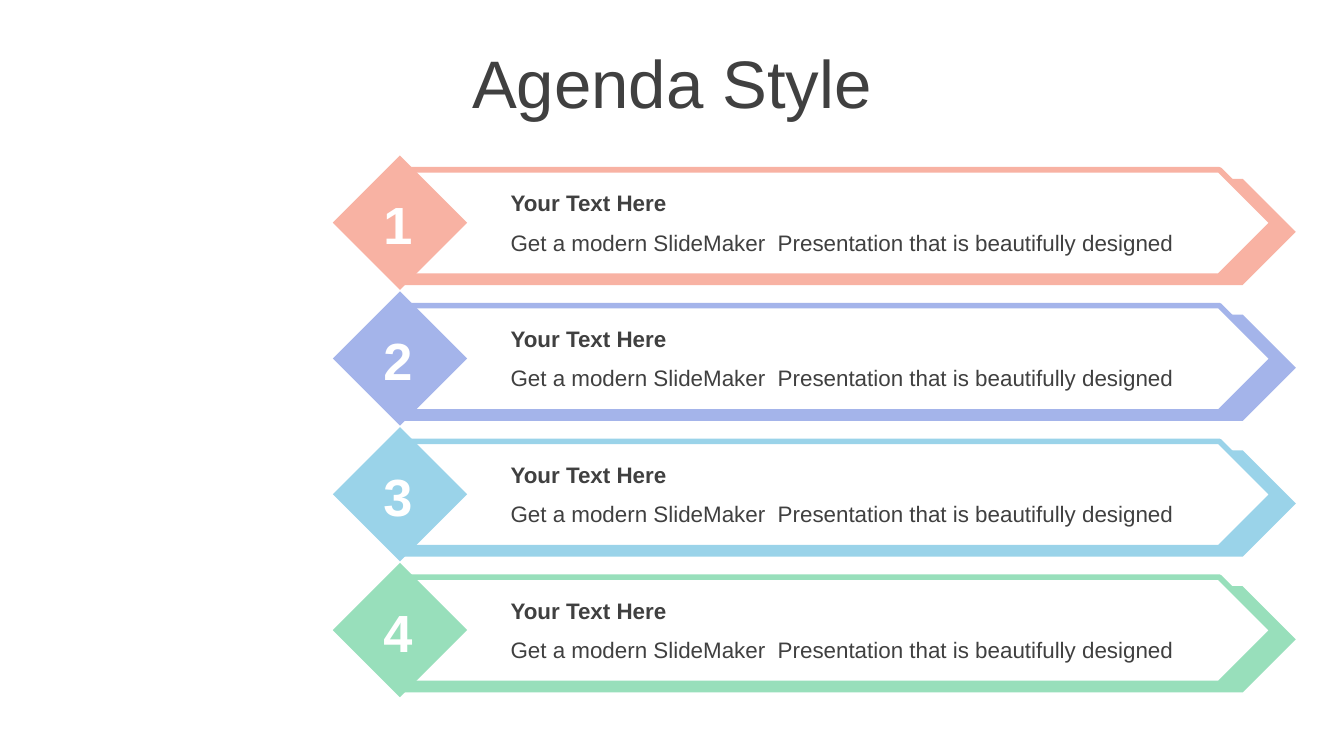
import pptx
import pptx.util
import pptx.dml.color
import pptx.enum.shapes
import pptx.enum.text

Cm = pptx.util.Cm
RGBColor = pptx.dml.color.RGBColor
SHAPE = pptx.enum.shapes.MSO_SHAPE
ALIGN = pptx.enum.text.PP_ALIGN
ANCHOR = pptx.enum.text.MSO_ANCHOR

WHITE = RGBColor(0xFF, 0xFF, 0xFF)
DARK = RGBColor(0x40, 0x40, 0x40)
CORAL = RGBColor(0xF8, 0xB2, 0xA3)
PERIWINKLE = RGBColor(0xA4, 0xB4, 0xEA)
SKY = RGBColor(0x9A, 0xD3, 0xE9)
MINT = RGBColor(0x98, 0xDF, 0xBB)

HEADING = "Your Text Here"
DETAIL = "Get a modern SlideMaker  Presentation that is beautifully designed"


def add_text(shapes, box, text, size, color=DARK, bold=False,
             align=ALIGN.LEFT, anchor=ANCHOR.TOP):
    """Place one line of text in a box."""
    label = shapes.add_textbox(*box)
    frame = label.text_frame
    frame.word_wrap = True
    frame.vertical_anchor = anchor
    frame.text = text
    para = frame.paragraphs[0]
    para.alignment = align
    for span in para.runs:
        span.font.name = "Arial"
        span.font.size = pptx.util.Pt(size)
        span.font.bold = bold
        span.font.color.rgb = color


def add_plain_shape(shapes, kind, box, fill, outline=None):
    """Place a flat preset shape, outlined only when a colour is given."""
    shape = shapes.add_shape(kind, *box)
    shape.shadow.inherit = False
    shape.fill.solid()
    shape.fill.fore_color.rgb = fill
    if outline is None:
        shape.line.fill.background()
    else:
        shape.line.color.rgb = outline
        shape.line.width = pptx.util.Pt(3)


def add_title(page, box):
    """Place the slide title, centred in its box."""
    add_text(page.shapes, box, "Agenda Style", 36,
             align=ALIGN.CENTER, anchor=ANCHOR.MIDDLE)


def add_agenda_item(page, box, number, color):
    """Place a numbered diamond with its arrow banner and two lines of text."""
    left, top, width, height = box

    def inset(across, down, wide, high):
        """Return a box offset from the corner of the item."""
        return left + Cm(across), top + Cm(down), wide, high

    plate_left, plate_height = 1.33, Cm(2.01)
    back_width = width - Cm(plate_left)
    front_width = back_width - Cm(0.44)
    banner = page.shapes.add_group_shape().shapes
    add_plain_shape(banner, SHAPE.PENTAGON,
                    inset(plate_left, 0.44, back_width, plate_height), color)
    add_plain_shape(banner, SHAPE.PENTAGON,
                    inset(plate_left, 0.27, front_width, plate_height), WHITE, color)
    add_plain_shape(banner, SHAPE.DIAMOND, inset(0, 0, height, height), color)

    add_text(page.shapes, inset(0.67, 0.57, Cm(1.12), Cm(1.45)), f"{number} ", 28,
             WHITE, True, ALIGN.CENTER, ANCHOR.MIDDLE)
    lines = page.shapes.add_group_shape().shapes
    for text, down, bold in ((HEADING, 0.52, True), (DETAIL, 1.26, False)):
        add_text(lines, inset(3.11, down, Cm(13.21), Cm(0.76)), text, 12, bold=bold)


def add_agenda(page, box):
    """Stack the agenda items at an equal pitch inside the box."""
    left, top, width, height = box
    colors = (CORAL, PERIWINKLE, SKY, MINT)
    item_height = Cm(2.54)
    pitch = (height - item_height) // (len(colors) - 1)
    for index, color in enumerate(colors):
        add_agenda_item(page, (left, top + index * pitch, width, item_height),
                        index + 1, color)


def main():
    """Build the agenda slide and save the deck."""
    deck = pptx.Presentation()
    deck.slide_width, deck.slide_height = Cm(25.4), Cm(14.29)
    page = deck.slides.add_slide(deck.slide_layouts[6])
    add_title(page, (0, Cm(0.74), deck.slide_width, Cm(1.6)))
    add_agenda(page, (Cm(6.29), Cm(2.94), Cm(18.2), Cm(10.24)))
    deck.save("out.pptx")


if __name__ == "__main__":
    main()
